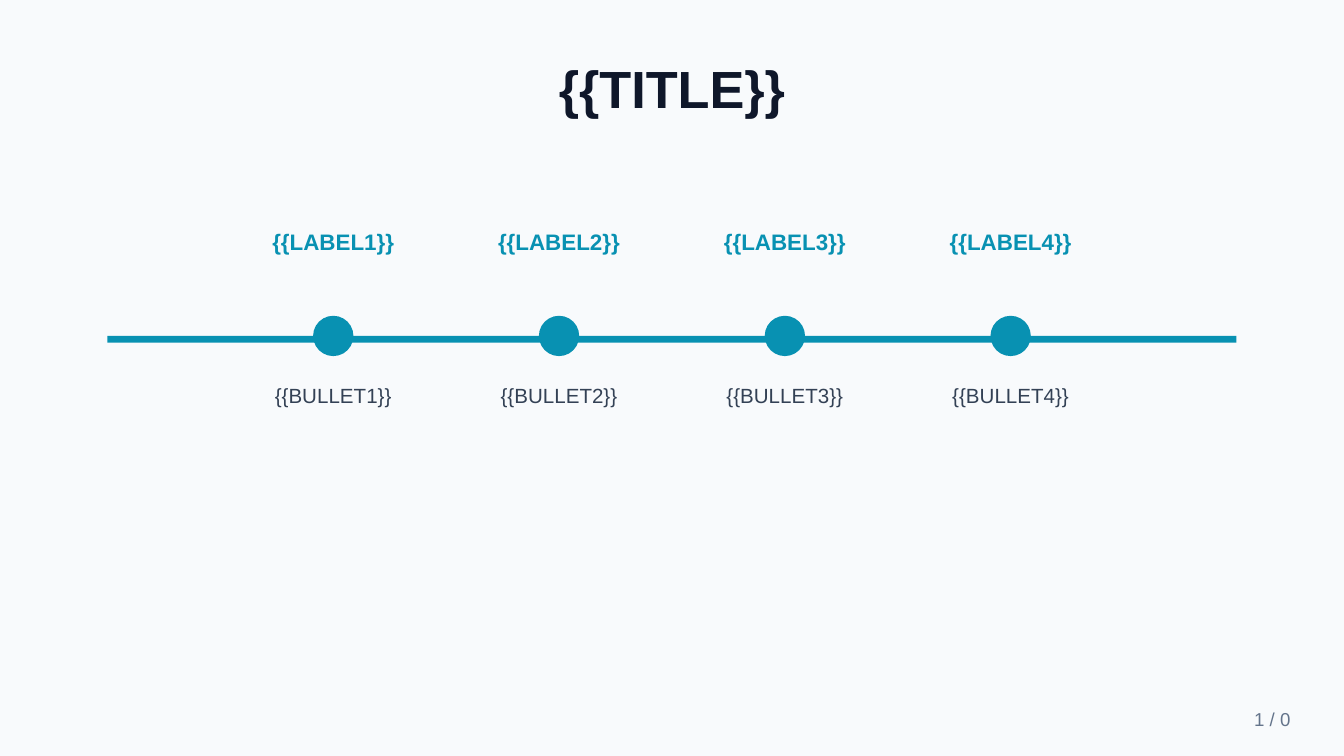
from pptx import Presentation
from pptx.dml.color import RGBColor
from pptx.enum import shapes, text
from pptx.util import Inches, Pt

FONT = "Arial"
BACKGROUND, INK, ACCENT, BODY, MUTED = "F8FAFC", "0F172A", "0891B2", "334155", "64748B"
MIDDLE, TOP = text.MSO_ANCHOR.MIDDLE, text.MSO_ANCHOR.TOP
CENTER, RIGHT = text.PP_ALIGN.CENTER, text.PP_ALIGN.RIGHT


def color(value):
    return RGBColor.from_string(value)


def write(shape, words, size, ink, bold=False, align=CENTER, anchor=MIDDLE):
    frame = shape.text_frame
    frame.word_wrap = True
    frame.auto_size = text.MSO_AUTO_SIZE.NONE
    frame.vertical_anchor = anchor
    para = frame.paragraphs[0]
    para.alignment = align
    span = para.add_run()
    span.text = words
    span.font.name = FONT
    span.font.size = Pt(size)
    span.font.bold = bold
    span.font.color.rgb = color(ink)


def add_text(page, box, words, size, ink, **style):
    shape = page.shapes.add_textbox(*map(Inches, box))
    write(shape, words, size, ink, **style)


def add_solid(page, kind, box, fill):
    shape = page.shapes.add_shape(kind, *map(Inches, box))
    shape.shadow.inherit = False
    shape.fill.solid()
    shape.fill.fore_color.rgb = color(fill)
    shape.line.fill.background()


def add_title(page, box, words):
    title = page.shapes.title
    title.left, title.top, title.width, title.height = map(Inches, box)
    write(title, words, 28, INK, bold=True)


def add_timeline(page, box, steps):
    left, top, width, height = box
    column, dot = 2, 0.3
    axis = top + 1
    gap = width / (len(steps) + 1)

    # Axis
    add_solid(page, shapes.MSO_SHAPE.RECTANGLE, (left, axis, width, 0.05), ACCENT)

    # Milestones, evenly spaced along the axis
    for number, (label, detail) in enumerate(steps, 1):
        center = left + gap * number
        column_left = center - column / 2
        add_solid(page, shapes.MSO_SHAPE.OVAL,
                  (center - dot / 2, axis - dot / 2, dot, dot), ACCENT)
        add_text(page, (column_left, top, column, 0.6), label, 12, ACCENT, bold=True)
        add_text(page, (column_left, axis + 0.3, column, height - 1.3),
                 detail, 11, BODY, anchor=TOP)


def add_page_number(page, box, words):
    add_text(page, box, words, 10, MUTED, align=RIGHT)


def main():
    deck = Presentation()
    deck.slide_width, deck.slide_height = Inches(10), Inches(5.625)
    page = deck.slides.add_slide(deck.slide_layouts[5])
    page.background.fill.solid()
    page.background.fill.fore_color.rgb = color(BACKGROUND)

    steps = [(f"{{{{LABEL{n}}}}}", f"{{{{BULLET{n}}}}}") for n in range(1, 5)]
    add_title(page, (0.5, 0.3, 9, 0.7), "{{TITLE}}")
    add_timeline(page, (0.8, 1.5, 8.4, 2.8), steps)
    add_page_number(page, (8.5, 5.2, 1.2, 0.3), "1 / 0")
    deck.save("out.pptx")


if __name__ == "__main__":
    main()
